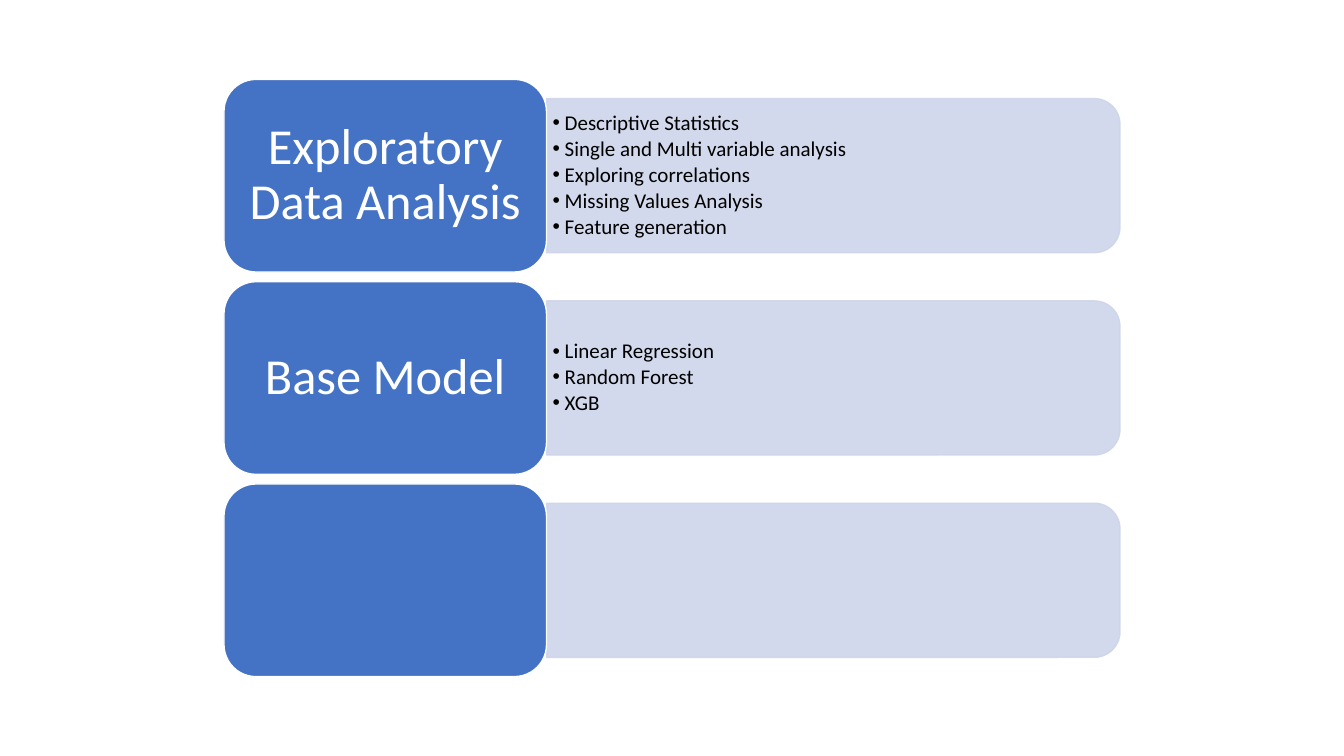
import pptx
import pptx.util
import pptx.dml.color
import pptx.enum.shapes
import pptx.enum.text
import pptx.oxml
import pptx.oxml.ns

COLORS = {"label": "4472C4", "panel": "CFD5EA", "white": "FFFFFF", "text": "000000"}
STAGES = [
    ("Exploratory Data Analysis", [
        "Descriptive Statistics",
        "Single and Multi variable analysis",
        "Exploring correlations",
        "Missing Values Analysis",
        "Feature generation",
    ]),
    ("Base Model", ["Linear Regression", "Random Forest", "XGB"]),
    ("", []),
]
SHAPES = pptx.enum.shapes.MSO_SHAPE
ALIGN = pptx.enum.text.PP_ALIGN


class Deck:
    font = "Calibri"
    label_size, list_size = 36, 15
    label_share, panel_share, gap_share = 0.36, 0.8, 0.05

    def __init__(self, prs, s, rows):
        self.s = s
        self.left, self.width = prs.slide_width / 6, prs.slide_width * 2 / 3
        self.row = prs.slide_height * 0.79 / (rows + (rows - 1) * self.gap_share)
        self.top = prs.slide_height * 0.105
        self.label_width = self.width * self.label_share
        self.panel_left = self.left + self.label_width
        self.panel_width = self.width - self.label_width
        self.panel_height = self.row * self.panel_share

    def row_top(self, i):
        return self.top + i * self.row * (1 + self.gap_share)

    def shape(self, kind, x, y, w, h, fill, line, alpha=None):
        sp = self.s.shapes.add_shape(kind, *map(int, (x, y, w, h)))
        sp.shadow.inherit = False
        sp.fill.solid()
        sp.line.fill.solid()
        sp.line.width = pptx.util.Pt(1)
        for paint, color in ((sp.fill, fill), (sp.line.fill, line)):
            paint.fore_color.rgb = pptx.dml.color.RGBColor.from_string(COLORS[color])
        if alpha:
            for node in sp._element.spPr.iter(pptx.oxml.ns.qn("a:srgbClr")):
                pptx.oxml.ns.qn("a:alpha")
                node.append(pptx.oxml.parse_xml(
                    f'<a:alpha {pptx.oxml.ns.nsdecls("a")} val="{alpha * 1000}"/>'))
        return sp

    def frame(self, sp, x_margin, y_margin):
        tf = sp.text_frame
        tf.word_wrap = True
        tf.auto_size = pptx.enum.text.MSO_AUTO_SIZE.NONE
        tf.vertical_anchor = pptx.enum.text.MSO_ANCHOR.MIDDLE
        tf.margin_left = tf.margin_right = pptx.util.Inches(x_margin)
        tf.margin_top = tf.margin_bottom = pptx.util.Inches(y_margin)
        return tf

    def run(self, p, text, size, color, align, after):
        p.alignment = align
        p.line_spacing = 0.9
        p.space_before = pptx.util.Pt(0)
        p.space_after = pptx.util.Pt(after)
        r = p.add_run()
        r.text = text
        r.font.name = self.font
        r.font.size = pptx.util.Pt(size)
        r.font.color.rgb = pptx.dml.color.RGBColor.from_string(COLORS[color])

    def panel(self, i):
        w, h = self.panel_height, self.panel_width
        x = self.panel_left + (h - w) / 2
        y = self.row_top(i) + (self.row - h) / 2
        sp = self.shape(SHAPES.ROUND_2_SAME_RECTANGLE, x, y, w, h, "panel", "panel", 90)
        sp.rotation = 90

    def label(self, i, text):
        sp = self.shape(SHAPES.ROUNDED_RECTANGLE, self.left, self.row_top(i),
                        self.label_width, self.row, "label", "white")
        if text:
            p = self.frame(sp, 0.15, 0.07).paragraphs[0]
            self.run(p, text, self.label_size, "white", ALIGN.CENTER, 0)

    def bullets(self, sp, i, items):
        h = self.row * 0.72
        sp.left, sp.top = int(self.panel_left), int(self.row_top(i) + (self.row - h) / 2)
        sp.width, sp.height = int(self.panel_width * 0.985), int(h)
        self.s.shapes._spTree.append(sp._element)
        tf = self.frame(sp, 0.06, 0.03)
        indent = pptx.util.Inches(0.12)
        for n, item in enumerate(items):
            p = tf.add_paragraph() if n else tf.paragraphs[0]
            self.run(p, item, self.list_size, "text", ALIGN.LEFT, self.list_size * 0.15)
            pPr = p._p.get_or_add_pPr()
            pPr.set("marL", str(indent))
            pPr.set("indent", str(-indent))
            pPr.append(pptx.oxml.parse_xml(
                f'<a:buChar {pptx.oxml.ns.nsdecls("a")} char="•"/>'))


prs = pptx.Presentation()
prs.slide_width, prs.slide_height = pptx.util.Inches(13.33), pptx.util.Inches(7.5)
s = prs.slides.add_slide(prs.slide_layouts[3])
title, *lists = s.placeholders
title._element.getparent().remove(title._element)
deck = Deck(prs, s, len(STAGES))
for i, (name, items) in enumerate(STAGES):
    deck.panel(i)
    if items:
        deck.bullets(lists[i], i, items)
    deck.label(i, name)
prs.save("out.pptx")
